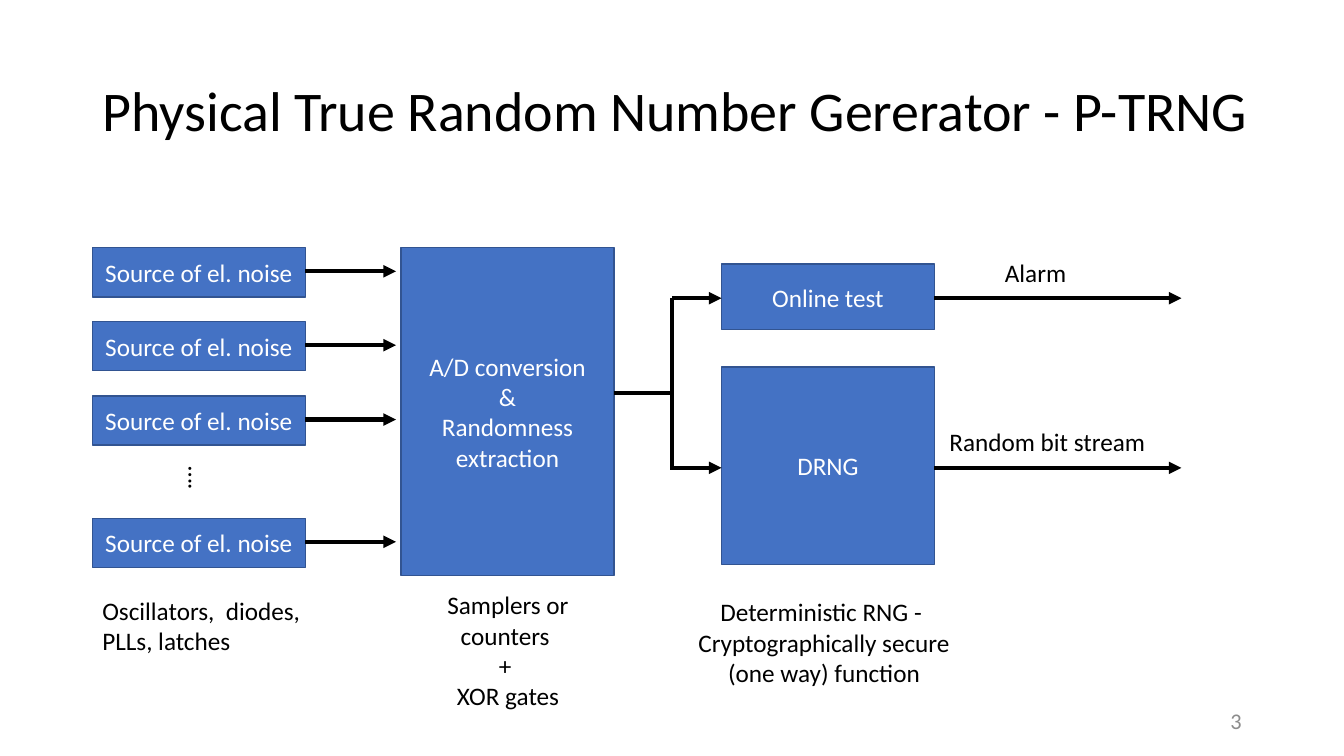
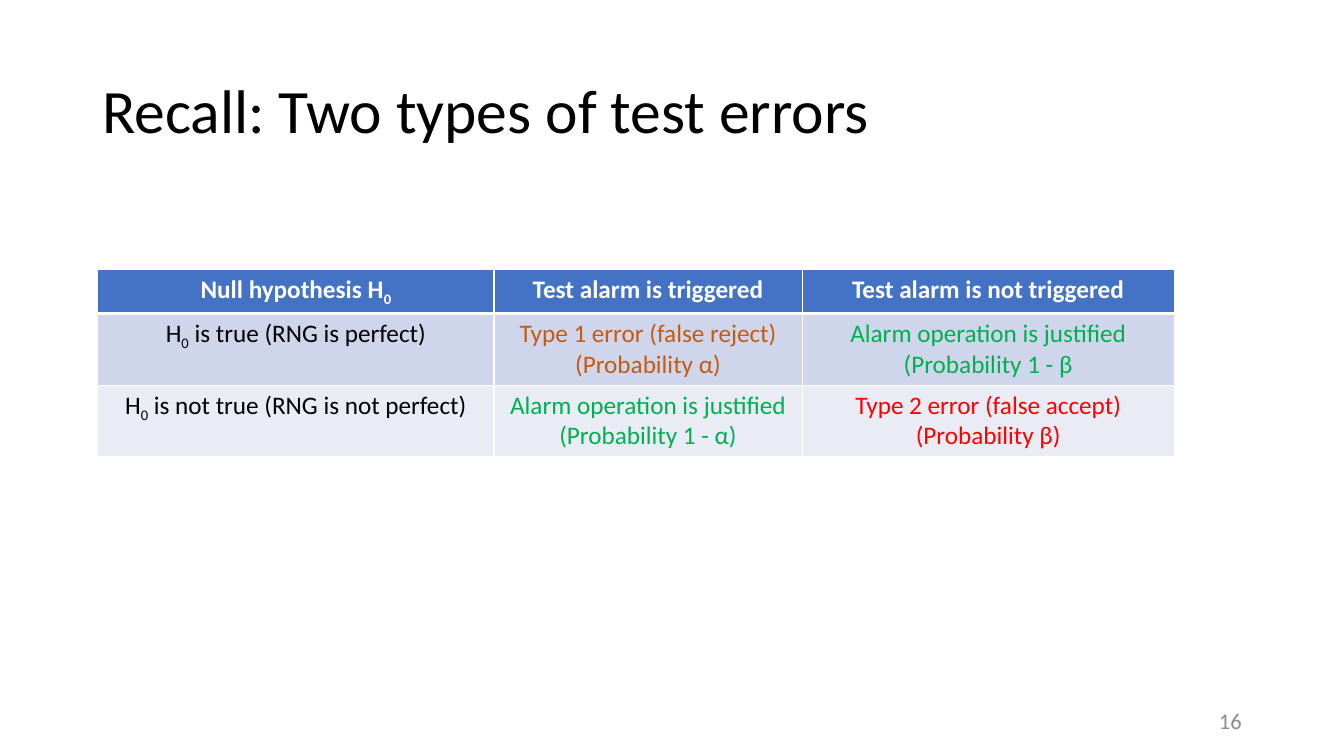
"""Build two slides on random number generators and their tests."""
from dataclasses import dataclass

from lxml import etree
from pptx import Presentation
from pptx import util as u
from pptx.dml.color import RGBColor
from pptx.enum import shapes, text
from pptx.oxml import ns

COLUMNS, ROWS = 32, 18
CELL = u.Inches(7.5) / ROWS
LEFT, CENTER, RIGHT = text.PP_ALIGN.LEFT, text.PP_ALIGN.CENTER, text.PP_ALIGN.RIGHT
TOP, MIDDLE = text.MSO_ANCHOR.TOP, text.MSO_ANCHOR.MIDDLE


@dataclass(frozen=True)
class Theme:
    """Colours, font, type sizes and line widths of the deck."""
    font: str = "Calibri"
    ink: str = "000000"
    paper: str = "FFFFFF"
    accent: str = "4472C4"
    edge: str = "325491"
    muted: str = "8C8C8C"
    bands: tuple = ("CFD5EA", "E9EBF5")
    warning: str = "C55A11"
    good: str = "00B050"
    bad: str = "FF0000"
    title: int = 44
    long_title: int = 40
    body: int = 18
    number: int = 16
    thin: int = 1
    thick: int = 3


def grid(*cells):
    """Turn grid cells into slide lengths."""
    return [u.Emu(round(cell * CELL)) for cell in cells]


def fill_text(frame, words, *, font, size, color, align=LEFT, bold=False, spacing=None):
    """Fill a text frame: newline = paragraph, \\v = line break, ~x~ = subscript."""
    for index, line in enumerate(words.split("\n")):
        para = frame.paragraphs[0] if index == 0 else frame.add_paragraph()
        para.alignment = align
        if spacing:
            para.line_spacing = spacing
        for row, piece in enumerate(line.split("\v")):
            if row:
                para.add_line_break()
            for place, part in enumerate(piece.split("~")):
                if not part:
                    continue
                span = para.add_run()
                span.text = part
                span.font.name, span.font.size, span.font.bold = font, u.Pt(size), bold
                span.font.color.rgb = RGBColor.from_string(color)
                if place % 2:
                    span.font._element.set("baseline", "-25000")


def border(cell, side, color, width):
    """Draw one side (L, R, T or B) of a table cell."""
    line = etree.SubElement(cell._tc.get_or_add_tcPr(), ns.qn(f"a:ln{side}"),
                            w=str(u.Pt(width)))
    fill = etree.SubElement(line, ns.qn("a:solidFill"))
    etree.SubElement(fill, ns.qn("a:srgbClr"), val=color)


class Sketch:
    """Holds the style and the current page, and draws elements on it."""

    def __init__(self, deck, theme):
        """Keep the deck and its theme."""
        self.deck, self.theme, self.page = deck, theme, None

    def words(self, frame, words, **style):
        """Set text in the body style unless told otherwise."""
        theme = self.theme
        base = dict(font=theme.font, size=theme.body, color=theme.ink)
        fill_text(frame, words, **{**base, **style})

    def start(self, title, number, size=None, width=27.6):
        """Add a page with its title and number."""
        theme = self.theme
        self.page = self.deck.slides.add_slide(self.deck.slide_layouts[6])
        self.label(title, 2.2, 0.96, width, 3.48, anchor=MIDDLE, grow=False,
                   size=size or theme.title, spacing=0.9)
        self.label(str(number), 22.6, 16.68, 7.2, 0.96, anchor=MIDDLE, grow=False,
                   size=theme.number, color=theme.muted, align=RIGHT)

    def label(self, words, left, top, width, height, *, anchor=TOP, grow=True,
              wrap=True, turn=0, **style):
        """Add free text."""
        box = self.page.shapes.add_textbox(*grid(left, top, width, height))
        box.rotation = turn
        frame = box.text_frame
        frame.word_wrap, frame.vertical_anchor = wrap, anchor
        sizes = text.MSO_AUTO_SIZE
        frame.auto_size = sizes.SHAPE_TO_FIT_TEXT if grow else sizes.NONE
        self.words(frame, words, **style)

    def block(self, words, left, top, width, height):
        """Add a filled box of the diagram."""
        theme = self.theme
        box = self.page.shapes.add_shape(shapes.MSO_SHAPE.RECTANGLE,
                                         *grid(left, top, width, height))
        box.shadow.inherit = False
        box.fill.solid()
        box.fill.fore_color.rgb = RGBColor.from_string(theme.accent)
        box.line.color.rgb = RGBColor.from_string(theme.edge)
        box.line.width = u.Pt(theme.thin)
        box.text_frame.word_wrap = True
        box.text_frame.vertical_anchor = MIDDLE
        self.words(box.text_frame, words, color=theme.paper, align=CENTER)

    def line(self, x1, y1, x2, y2, arrow=True):
        """Add a straight line, with an arrowhead at its end if asked."""
        wire = self.page.shapes.add_connector(shapes.MSO_CONNECTOR.STRAIGHT,
                                              *grid(x1, y1, x2, y2))
        wire.line.color.rgb = RGBColor.from_string(self.theme.ink)
        wire.line.width = u.Pt(self.theme.thick)
        props = wire.element.spPr
        if arrow:
            etree.SubElement(props.find(ns.qn("a:ln")), ns.qn("a:tailEnd"),
                             type="triangle")
        etree.SubElement(props, ns.qn("a:effectLst"))

    def table(self, rows, left, top, widths, heights):
        """Add a table; each cell is a pair of words and colour."""
        theme = self.theme
        table = self.page.shapes.add_table(
            len(rows), len(widths),
            *grid(left, top, sum(widths), sum(heights))).table
        table.first_row = table.horz_banding = False
        for column, width in zip(table.columns, grid(*widths)):
            column.width = width
        for row, height in zip(table.rows, grid(*heights)):
            row.height = height
        fills = (theme.accent, *theme.bands)
        for y, row in enumerate(rows):
            for x, (words, color) in enumerate(row):
                cell = table.cell(y, x)
                for side in "LRTB":
                    heavy = (y, side) in ((0, "B"), (1, "T"))
                    border(cell, side, theme.paper, theme.thick if heavy else theme.thin)
                cell.fill.solid()
                cell.fill.fore_color.rgb = RGBColor.from_string(fills[y])
                self.words(cell.text_frame, words, color=color, align=CENTER, bold=y == 0)


def generator_page(sketch):
    """Draw the block diagram of the generator."""
    sketch.start("Physical True Random Number Gererator - P-TRNG", 3,
                 size=sketch.theme.long_title, width=28.08)
    wide = 5.07
    source, converter, output = 2.2, 9.55, 17.18
    for top in (5.9, 7.66, 9.43, 12.34):
        sketch.block("Source of el. noise", source, top, wide, 1.17)
        sketch.line(source + wide, top + 0.56, converter - 0.12, top + 0.56)
    sketch.label("….", 4.2, 10.92, 1.06, 0.96, wrap=False, turn=90)
    sketch.block("A/D conversion\n&\nRandomness extraction", converter, 5.9, wide, 7.8)
    sketch.block("Online test", output, 6.29, wide, 1.56)
    sketch.block("DRNG", output, 8.74, wide, 4.7)

    fork, alarm, stream = 16.01, 7.1, 11.14
    sketch.line(fork, 9.36, converter + wide, 9.36, arrow=False)
    sketch.line(fork, stream + 0.04, fork, alarm, arrow=False)
    for level in (alarm, stream):
        sketch.line(fork, level, output, level)
        sketch.line(output + wide, level, 28.13, level)
    sketch.label("Alarm", 23.69, 6.02, 2.45, 0.96)
    sketch.label("Random bit stream", 22.37, 10.03, 6.43, 0.96)

    sketch.label("Oscillators,  diodes, PLLs, latches", source, 14.06, 5.86, 1.7)
    sketch.label("Samplers or counters \v+ \vXOR gates", 10.27, 13.92, 3.65, 3.14,
                 align=CENTER)
    sketch.label("Deterministic RNG - \nCryptographically secure (one way) function",
                 16.37, 14.09, 6.5, 2.42, align=CENTER)


def errors_page(sketch):
    """Draw the table of test errors."""
    theme = sketch.theme
    sketch.start("Recall: Two types of test errors", 16)
    heads = ("Null hypothesis H~0~", "Test alarm is triggered", "Test alarm is not triggered")
    justified = "Alarm operation is justified\n(Probability 1 - "
    rows = [
        [(head, theme.paper) for head in heads],
        [("H~0~ is true (RNG is perfect)", theme.ink),
         ("Type 1 error (false reject)\n(Probability α)", theme.warning),
         (justified + "β", theme.good)],
        [("H~0~ is not true (RNG is not perfect)", theme.ink),
         (justified + "α)", theme.good),
         ("Type 2 error (false accept)\n(Probability β)", theme.bad)],
    ]
    sketch.table(rows, 2.33, 6.41, (9.43, 7.34, 8.86), (0.98, 1.68, 1.68))


def main():
    """Build and save the deck."""
    deck = Presentation()
    deck.slide_width, deck.slide_height = grid(COLUMNS, ROWS)
    sketch = Sketch(deck, Theme())
    generator_page(sketch)
    errors_page(sketch)
    deck.save("out.pptx")


main()
